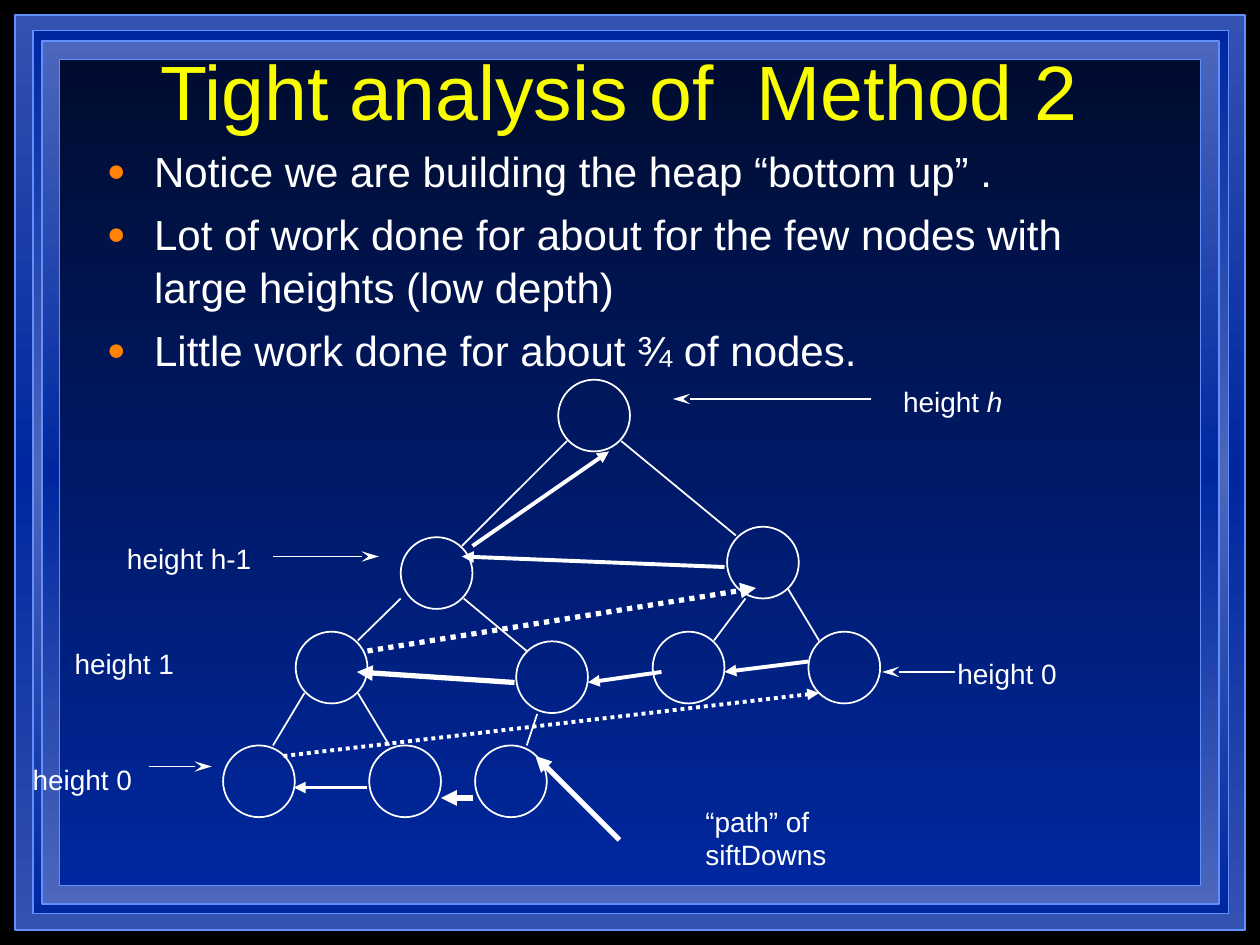
from lxml.etree import SubElement as Sub
from pptx import Presentation
from pptx.dml.color import RGBColor
from pptx.enum.dml import MSO_LINE as Dash
from pptx.enum.shapes import MSO_CONNECTOR as Conn, MSO_SHAPE as Kind
from pptx.enum.text import MSO_ANCHOR as Anchor, PP_ALIGN as Align
from pptx.oxml.ns import qn
from pptx.util import Pt

WHITE = "FFFFFF"
FRAMES = [
    ((8.5, 8.5, 703, 523), ("3352B2", "00279F", "3352B2")),
    ((19, 17.5, 683, 504.5), ("00279F", "4C67BC", "00279F")),
    ((24, 23.5, 672.5, 493), ("4C67BC", "00279F", "4C67BC")),
    ((34, 34, 652, 472), ("000C2F", "00279F")),
]
NODES = [
    (319, 217), (415.5, 301), (229, 307), (169, 361), (295, 366.5),
    (462, 361), (373, 361), (127.5, 426), (211, 426), (271.5, 426),
]
EDGES = [
    (324, 252, 264, 312), (355, 252, 420.5, 306), (229, 342, 204.5, 366),
    (265, 342, 301, 372), (174, 396, 156, 426), (204.5, 396, 222.5, 426),
    (307, 408, 301, 426), (426, 342, 408, 366), (450, 336, 468, 366),
]
POINTERS = [
    (156, 318, 216.5, 318), (85, 438, 121, 438),
    (498, 228, 384.5, 228), (546, 384, 504, 384),
]
STEPS = [
    ((354, 480, 306, 432), 3, None), ((294, 390, 204, 384), 3, None),
    ((414, 324, 264, 318), 2.25, None), ((270, 312, 348, 258), 2.25, None),
    ((210, 372, 432, 336), 3, Dash.ROUND_DOT), ((270, 456, 252, 456), 3, None),
    ((210, 450, 168, 450), 2.25, None), ((378, 384, 336, 390), 2.25, None),
    ((462, 378, 414, 384), 2.25, None),
    ((162, 432, 468, 396), 2.25, Dash.ROUND_DOT),
]
LABELS = [
    ((509, 216, 71, 27), "height h"), ((65.5, 306, 86, 27), "height h-1"),
    ((540, 371.5, 71, 27), "height 0"), ((11.5, 432, 71, 27), "height 0"),
    ((396, 456, 83.5, 45), "“path” of\nsiftDowns"),
    ((35.5, 366, 71, 27), "height 1"),
]
POINTS = [
    "Notice we are building the heap “bottom up” .",
    "Lot of work done for about for the few nodes with large heights (low depth)",
    "Little work done for about ¾ of nodes.",
]


def color(code):
    return RGBColor.from_string(code)


def add_frame(slide, box, stops):
    shape = slide.shapes.add_shape(Kind.RECTANGLE, *map(Pt, box))
    shape.shadow.inherit = False
    shape.line.color.rgb = color("618FFD")
    shape.line.width = Pt(1)
    shape.fill.gradient()
    grad = shape.element.spPr.find(qn("a:gradFill"))
    for child in list(grad):
        grad.remove(child)
    stop_list = Sub(grad, qn("a:gsLst"))
    for i, code in enumerate(stops):
        place = str(100000 * i // (len(stops) - 1))
        stop = Sub(stop_list, qn("a:gs"), pos=place)
        Sub(stop, qn("a:srgbClr"), val=code)
    Sub(grad, qn("a:lin"), ang="5400000", scaled="0")


def add_node(slide, left, top):
    node = slide.shapes.add_shape(Kind.OVAL, Pt(left), Pt(top), Pt(41), Pt(41))
    node.shadow.inherit = False
    node.fill.background()
    node.line.color.rgb = color(WHITE)
    node.line.width = Pt(1)


def add_line(slide, ends, width=1, head=None, size="med", dash=None):
    link = slide.shapes.add_connector(Conn.STRAIGHT, *map(Pt, ends))
    link.line.color.rgb = color(WHITE)
    link.line.width = Pt(width)
    if dash:
        link.line.dash_style = dash
    if head:
        Sub(link.line._get_or_add_ln(), qn("a:tailEnd"),
            type=head, w="med", len=size)
    Sub(link.element.spPr, qn("a:effectLst"))


def add_text(slide, box, text, size, code=WHITE, wrap=True):
    frame = slide.shapes.add_textbox(*map(Pt, box)).text_frame
    frame.text = text
    frame.word_wrap = wrap
    for para in frame.paragraphs:
        for run in para.runs:
            run.font.size = Pt(size)
            run.font.name = "Arial"
            run.font.color.rgb = color(code)
    return frame


def add_bullet(para):
    props = para._p.get_or_add_pPr()
    props.set("marL", str(Pt(27)))
    props.set("indent", str(-Pt(27)))
    Sub(Sub(props, qn("a:buClr")), qn("a:srgbClr"), val="FF8203")
    Sub(props, qn("a:buSzPct"), val="75000")
    Sub(props, qn("a:buFont"), typeface="Arial")
    Sub(props, qn("a:buChar"), char="●")


def add_title(slide):
    frame = add_text(slide, (48, 24, 612, 54),
                     "Tight analysis of  Method 2", 44, "FAFD00")
    frame.vertical_anchor = Anchor.MIDDLE
    frame.paragraphs[0].alignment = Align.CENTER


def add_body(slide):
    frame = add_text(slide, (54, 78, 612, 420), "\n".join(POINTS), 24)
    for i, para in enumerate(frame.paragraphs):
        add_bullet(para)
        para.line_spacing = 1.05
        if i:
            para.space_before = Pt(6)


def add_label(slide, box, text):
    frame = add_text(slide, box, text, 16, wrap=False)
    if text == "height h":
        para = frame.paragraphs[0]
        para.runs[0].text = "height "
        run = para.add_run()
        run.text = "h"
        run.font.size = Pt(16)
        run.font.name = "Arial"
        run.font.italic = True
        run.font.color.rgb = color(WHITE)


def main():
    deck = Presentation()
    deck.slide_width, deck.slide_height = Pt(720), Pt(540)
    slide = deck.slides.add_slide(deck.slide_layouts[6])
    slide.background.fill.solid()
    slide.background.fill.fore_color.rgb = color("000000")
    for box, stops in FRAMES:
        add_frame(slide, box, stops)
    add_title(slide)
    add_body(slide)
    for left, top in NODES:
        add_node(slide, left, top)
    for ends in EDGES:
        add_line(slide, ends)
    for ends in POINTERS:
        add_line(slide, ends, head="stealth", size="lg")
    for box, text in LABELS:
        add_label(slide, box, text)
    for ends, width, dash in STEPS:
        add_line(slide, ends, width, "triangle", dash=dash)
    deck.save("out.pptx")


if __name__ == "__main__":
    main()
